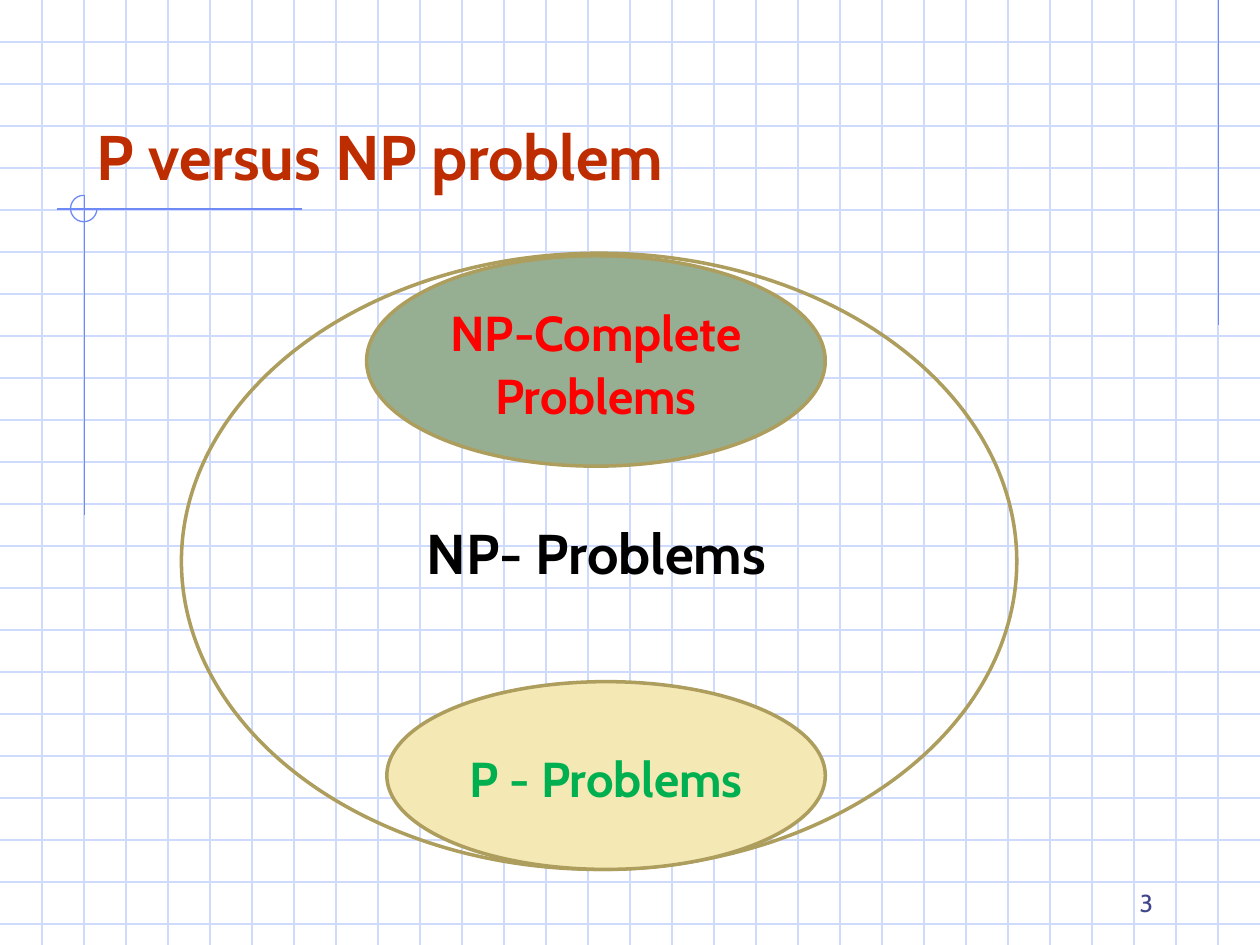
from lxml import etree
from pptx import Presentation
from pptx.dml.color import RGBColor
from pptx.enum import shapes, text
from pptx.oxml.ns import qn
from pptx.util import Inches, Pt

WIDTH, HEIGHT = 10, 7.5
GRID_STEP = 1 / 3
GRID, ACCENT, OUTLINE = "CFDBFD", "6F89F7", "AD9E5E"
FONT = "Cabin"


def color(value):
    return RGBColor.from_string(value)


def add_line(page, x1, y1, x2, y2, stroke):
    line = page.shapes.add_connector(
        shapes.MSO_CONNECTOR.STRAIGHT, Inches(x1), Inches(y1), Inches(x2), Inches(y2))
    line.line.color.rgb = color(stroke)
    line.line.width = Pt(0.75)
    etree.SubElement(line._element.spPr, qn("a:effectLst"))


def add_grid(page):
    for row in range(1, 23):
        add_line(page, 0, row * GRID_STEP, WIDTH, row * GRID_STEP, GRID)
    for column in range(1, 30):
        add_line(page, column * GRID_STEP, 0, column * GRID_STEP, HEIGHT, GRID)


def add_shape(page, kind, left, top, width, height, fill=None, stroke=None, weight=2):
    shape = page.shapes.add_shape(
        kind, Inches(left), Inches(top), Inches(width), Inches(height))
    shape.shadow.inherit = False
    if fill:
        shape.fill.solid()
        shape.fill.fore_color.rgb = color(fill)
    else:
        shape.fill.background()
    if stroke:
        shape.line.color.rgb = color(stroke)
        shape.line.width = Pt(weight)
    else:
        shape.line.fill.background()
    return shape


def write(shape, words, size, ink, bold=True, align="CENTER", anchor="MIDDLE",
          spacing=None, after=0):
    frame = shape.text_frame
    frame.word_wrap = True
    frame.vertical_anchor = text.MSO_ANCHOR[anchor]
    para = frame.paragraphs[0]
    para.alignment = text.PP_ALIGN[align]
    para.line_spacing = spacing
    para.space_after = Pt(after)
    span = para.add_run()
    span.text = words
    span.font.name = FONT
    span.font.size = Pt(size)
    span.font.bold = bold
    span.font.color.rgb = color(ink)


def add_text(page, left, top, width, height, words, **style):
    box = page.shapes.add_textbox(
        Inches(left), Inches(top), Inches(width), Inches(height))
    write(box, words, **style)


def add_ellipse(page, left, top, width, height, words=None, size=28, ink="000000",
                fill=None, stroke=OUTLINE):
    ellipse = add_shape(page, shapes.MSO_SHAPE.OVAL, left, top, width, height, fill, stroke)
    if words:
        write(ellipse, words, size, ink, spacing=1.07, after=8)


def add_corner_marks(page):
    add_line(page, 9.67, 0, 9.67, 2.58, ACCENT)
    add_line(page, 2.4, 1.66, 0.45, 1.66, ACCENT)
    add_line(page, 0.67, 1.55, 0.67, 4.09, ACCENT)
    arc = add_shape(page, shapes.MSO_SHAPE.ARC, 0.56, 1.55, 0.21, 0.21,
                    stroke=ACCENT, weight=0.75)
    # Angles are in 60000ths of a degree, scaled by 100000: 0 to 270 degrees
    arc.adjustments[0] = 0
    arc.adjustments[1] = 162


def main():
    deck = Presentation()
    deck.slide_width, deck.slide_height = Inches(WIDTH), Inches(HEIGHT)
    page = deck.slides.add_slide(deck.slide_layouts[6])
    page.background.fill.solid()
    page.background.fill.fore_color.rgb = color("FFFFFF")

    add_grid(page)
    add_corner_marks(page)
    add_text(page, 7.17, 6.83, 2.08, 0.5, "3", size=14, ink="40458C",
             bold=False, align="RIGHT", anchor="BOTTOM")
    add_text(page, 0.67, 0.33, 8.5, 1.25, "P versus NP problem", size=36,
             ink="BE2D00", align="LEFT", anchor="BOTTOM")

    add_ellipse(page, 1.44, 2.01, 6.63, 4.89)
    add_ellipse(page, 3.07, 5.41, 3.48, 1.49, "P - Problems",
                ink="00B050", fill="F4E8B4")
    add_ellipse(page, 2.91, 2.03, 3.64, 1.67, "NP-Complete Problems",
                ink="FF0000", fill="96AF92")
    add_ellipse(page, 2.68, 3.94, 4.11, 0.85, "NP- Problems", size=32, stroke=None)
    deck.save("out.pptx")


if __name__ == "__main__":
    main()
